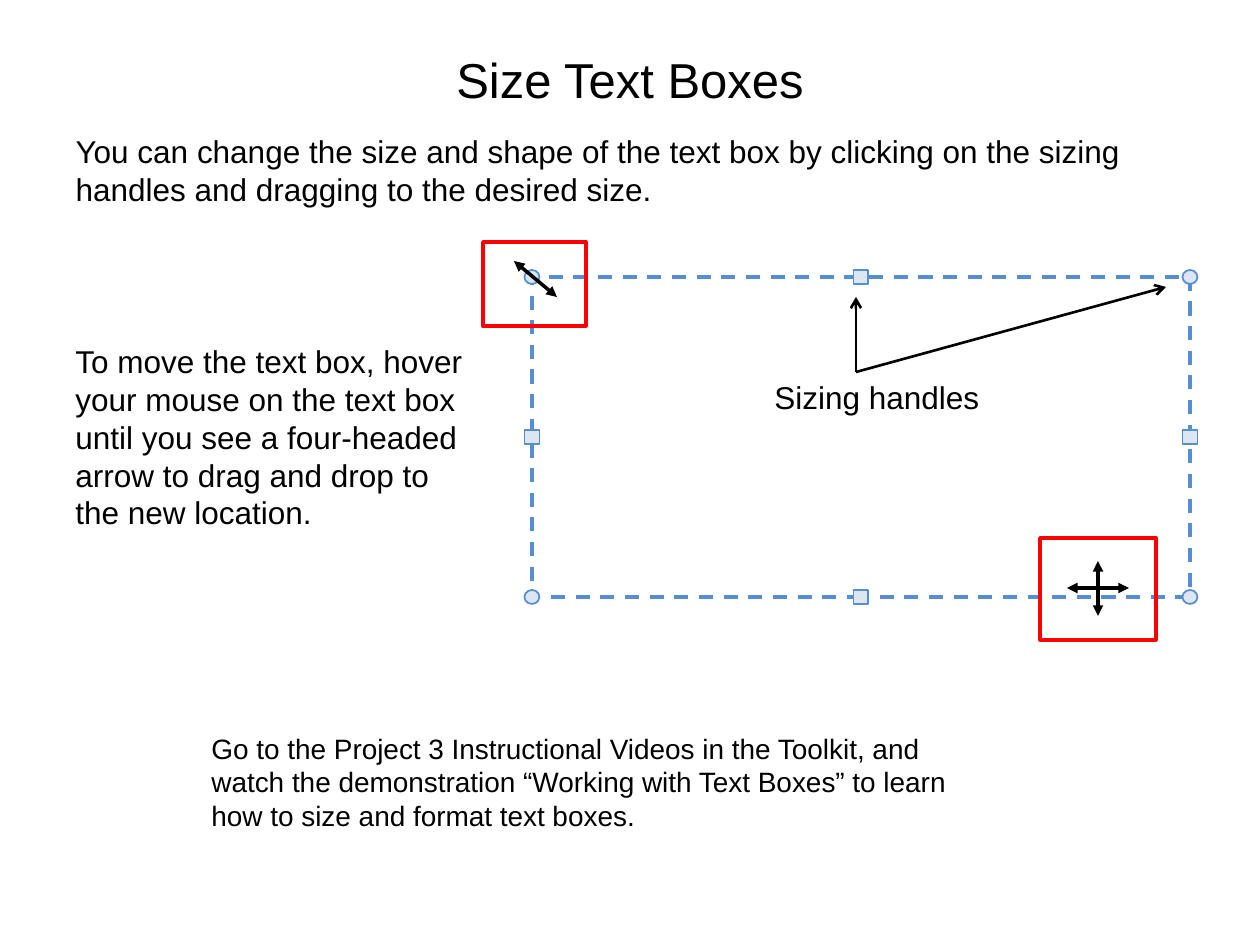
from itertools import product

from pptx import Presentation
from pptx.dml.color import RGBColor
from pptx.enum.dml import MSO_LINE
from pptx.enum.shapes import MSO_CONNECTOR, MSO_SHAPE
from pptx.enum.text import MSO_ANCHOR, MSO_AUTO_SIZE, PP_ALIGN
from pptx.oxml.ns import qn
from pptx.util import Emu, Pt
from lxml.etree import SubElement

EMU_PER_INCH = 914400
PX_PER_INCH = 126
BLACK, RED, BLUE, PALE_BLUE = "000000", "FF0000", "558ED5", "DCE6F2"


def px(length):
    return Emu(round(length * EMU_PER_INCH / PX_PER_INCH))


def color(hex_code):
    return RGBColor.from_string(hex_code)


class SlideBuilder:
    """Holds the text style and the slide being filled."""

    font = "Arial"

    def __init__(self, page):
        self.page = page

    def set_text(self, box, text, size, align=PP_ALIGN.LEFT, anchor=MSO_ANCHOR.TOP):
        frame = box.text_frame
        frame.text = text
        frame.word_wrap = True
        frame.auto_size = MSO_AUTO_SIZE.NONE
        frame.vertical_anchor = anchor
        paragraph = frame.paragraphs[0]
        paragraph.alignment = align
        paragraph.space_before = Pt(0)
        paragraph.font.name = self.font
        paragraph.font.size = Pt(size)
        paragraph.font.color.rgb = color(BLACK)
        return paragraph

    def place(self, box, left, top, width, height):
        box.left, box.top = px(left), px(top)
        box.width, box.height = px(width), px(height)

    def title(self, text, *bounds):
        box = self.page.shapes.title
        self.place(box, *bounds)
        self.set_text(box, text, 28, PP_ALIGN.CENTER, MSO_ANCHOR.MIDDLE)

    def body(self, text, *bounds):
        """Fill the body placeholder with one paragraph without a bullet."""
        box = self.page.placeholders[1]
        self.place(box, *bounds)
        properties = self.set_text(box, text, 18)._p.get_or_add_pPr()
        properties.set("marL", "0")
        properties.set("indent", "0")
        bullet = SubElement(properties, qn("a:buNone"))
        properties.find(qn("a:spcBef")).addnext(bullet)

    def text(self, text, size, *bounds):
        box = self.page.shapes.add_textbox(*map(px, bounds))
        self.set_text(box, text, size)

    def shape(self, kind, line, weight, *bounds, fill=None, dash=None):
        shape = self.page.shapes.add_shape(kind, *map(px, bounds))
        shape.shadow.inherit = False
        if fill:
            shape.fill.solid()
            shape.fill.fore_color.rgb = color(fill)
        else:
            shape.fill.background()
        shape.line.color.rgb = color(line)
        shape.line.width = Pt(weight)
        if dash:
            shape.line.dash_style = dash

    def handle(self, kind, center_x, center_y):
        width, height = 15, 14
        self.shape(kind, BLUE, 1, center_x - width / 2, center_y - height / 2,
                   width, height, fill=PALE_BLUE)

    def arrow(self, start, end, weight, tail, head=None):
        """Draw a line with arrowheads at its end (tail) and start (head)."""
        arrow = self.page.shapes.add_connector(
            MSO_CONNECTOR.STRAIGHT, *map(px, (*start, *end)))
        arrow.line.color.rgb = color(BLACK)
        arrow.line.width = Pt(weight)
        properties = arrow._element.spPr
        line = properties.find(qn("a:ln"))
        for tag, style in (("a:headEnd", head), ("a:tailEnd", tail)):
            if style:
                SubElement(line, qn(tag), type=style)
        SubElement(properties, qn("a:effectLst"))


def main():
    deck = Presentation()
    deck.slide_width, deck.slide_height = px(1260), px(945)
    slide = SlideBuilder(deck.slides.add_slide(deck.slide_layouts[1]))

    slide.title("Size Text Boxes", 63, 0, 1134, 158)
    slide.body("You can change the size and shape of the text box by clicking on "
               "the sizing handles and dragging to the desired size.",
               63, 126, 1134, 136)
    slide.text("To move the text box, hover your mouse on the text box until you "
               "see a four-headed arrow to drag and drop to the new location.",
               18, 63, 336, 431, 204)

    left, top, width, height = 532, 277, 658, 320
    slide.shape(MSO_SHAPE.RECTANGLE, BLUE, 2, left, top, width, height,
                dash=MSO_LINE.DASH)
    for column, row in product(range(3), repeat=2):
        if column == row == 1:
            continue
        at_middle = 1 in (column, row)
        slide.handle(MSO_SHAPE.RECTANGLE if at_middle else MSO_SHAPE.OVAL,
                     left + column * width / 2, top + row * height / 2)

    pointers = [((557, 297), (514, 261)),
                ((1098, 561), (1098, 616)),
                ((1067, 588), (1129, 588))]
    for start, end in pointers:
        slide.arrow(start, end, 2, "triangle", "triangle")
    for bounds in ((483, 242, 103, 84), (1040, 538, 116, 102)):
        slide.shape(MSO_SHAPE.RECTANGLE, RED, 2, *bounds)

    slide.text("Sizing handles", 18, 762, 372, 246, 50)
    for target in ((856, 297), (1166, 287)):
        slide.arrow((856, 372), target, 1.5, "arrow")

    slide.text("Go to the Project 3 Instructional Videos in the Toolkit, and watch "
               "the demonstration “Working with Text Boxes” to learn how to size "
               "and format text boxes.", 16, 199, 725, 798, 115)

    deck.save("out.pptx")


if __name__ == "__main__":
    main()
